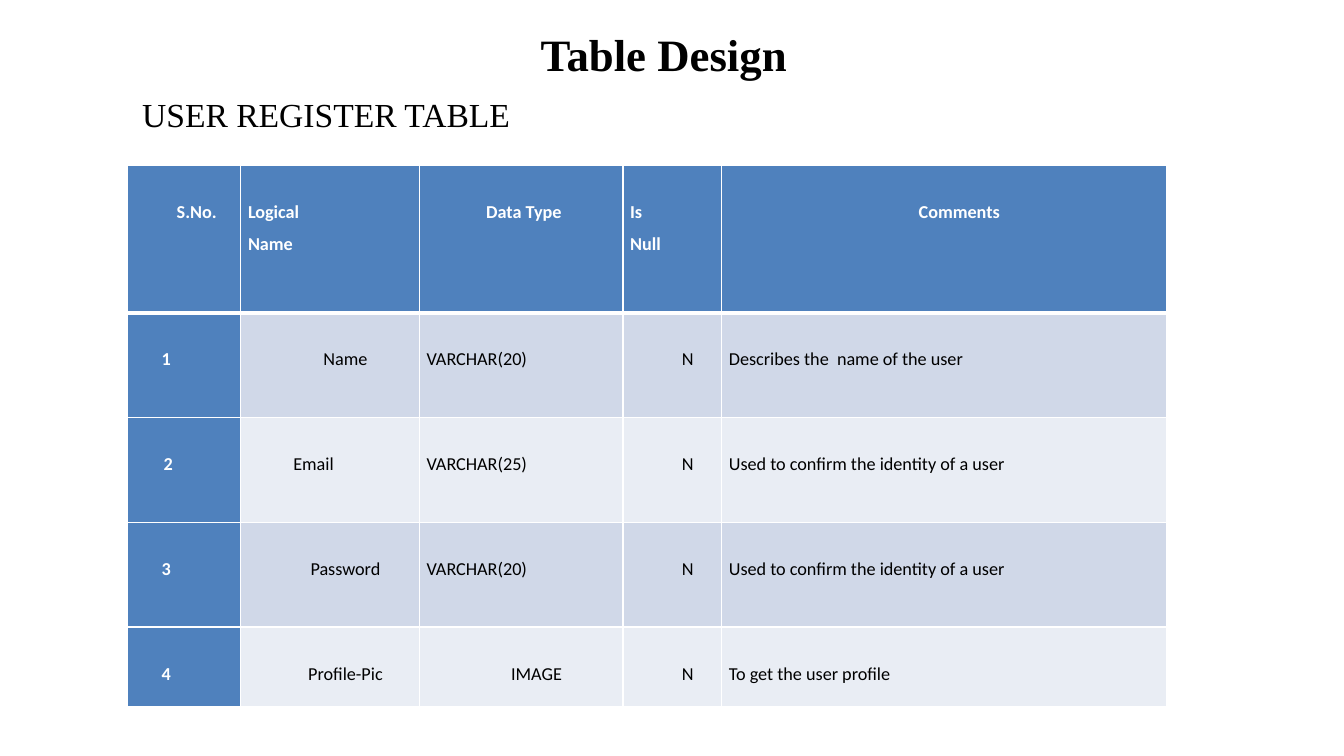
from dataclasses import dataclass

from lxml import etree
from pptx import Presentation
from pptx.dml.color import RGBColor
from pptx.enum.text import MSO_ANCHOR, MSO_AUTO_SIZE, PP_ALIGN
from pptx.oxml.ns import qn
from pptx.util import Cm, Pt

LEFT, CENTER, RIGHT = PP_ALIGN.LEFT, PP_ALIGN.CENTER, PP_ALIGN.RIGHT
MIDDLE, TOP = MSO_ANCHOR.MIDDLE, MSO_ANCHOR.TOP
NO_AUTOFIT = MSO_AUTO_SIZE.NONE

SERIF, SANS = "Times New Roman", "Calibri"
BLACK, WHITE, BLUE = "000000", "FFFFFF", "4F81BD"
BANDS = ("D0D8E8", "E9EDF4")

COLUMN_WIDTHS = (2.87, 4.5, 5.13, 2.49, 11.2)
ROW_HEIGHTS = (3.71, 2.64, 2.64, 2.64, 2.01)


@dataclass
class Entry:
    """Text of one cell, with its alignment and side margins in cm."""
    text: str
    align: PP_ALIGN = LEFT
    left: float = 0.18
    right: float = 0


def number(text: str, right: float = 0.89) -> Entry:
    return Entry(text, CENTER, 0, right)


def indented(text: str, right: float = 0.2) -> Entry:
    return Entry(text, CENTER, 0.97, right)


ROWS = (
    (Entry("S.No.", RIGHT, 0.97, 0.61), Entry("Logical\nName"),
     indented("Data Type", 0.84), Entry("Is\nNull"), indented("Comments")),
    (number("1"), indented("Name"), Entry("VARCHAR(20)"), indented("N"),
     Entry("Describes the  name of the user")),
    (number("2", 0.79), Entry("Email", CENTER, 0, 0.84), Entry("VARCHAR(25)"),
     indented("N"), Entry("Used to confirm the identity of a user")),
    (number("3"), indented("Password"), Entry("VARCHAR(20)"), indented("N"),
     Entry("Used to confirm the identity of a user")),
    (number("4"), indented("Profile-Pic"), indented("IMAGE"), indented("N"),
     Entry("To get the user profile")),
)


def color(value: str) -> RGBColor:
    return RGBColor.from_string(value)


def style(para, name: str, size: float, ink: str, bold: bool, align: PP_ALIGN) -> None:
    para.alignment = align
    para.font.name = name
    para.font.size = Pt(size)
    para.font.bold = bold
    para.font.color.rgb = color(ink)


def place(box, left: float, top: float, width: float, height: float) -> None:
    box.left, box.top, box.width, box.height = map(Cm, (left, top, width, height))


def add_border(cell, side: str, points: float) -> None:
    line = etree.SubElement(cell._tc.get_or_add_tcPr(), qn(f"a:ln{side}"), w=str(Pt(points)))
    fill = etree.SubElement(line, qn("a:solidFill"))
    etree.SubElement(fill, qn("a:srgbClr"), val=WHITE)


def fill_cell(cell, entry: Entry, row: int, column: int) -> None:
    heading = row == 0 or column == 0
    # Borders come before the fill in the cell properties
    for side in "LRTB":
        thick = (row == 0 and side == "B") or (row == 1 and side == "T")
        add_border(cell, side, 3 if thick else 1)
    cell.fill.solid()
    cell.fill.fore_color.rgb = color(BLUE if heading else BANDS[(row - 1) % 2])
    cell.margin_left, cell.margin_right = Cm(entry.left), Cm(entry.right)
    cell.margin_top, cell.margin_bottom = Cm(0.86), Cm(0)
    cell.vertical_anchor = TOP
    cell.text = entry.text
    for para in cell.text_frame.paragraphs:
        style(para, SANS, 13, WHITE if heading else BLACK, heading, entry.align)
        para.line_spacing = 1.07
        para.space_after = Pt(5.8)


def add_title(page) -> None:
    title = page.shapes.title
    place(title, 2.57, 0, 28.32, 2.69)
    title.text_frame.text = "Table Design"
    title.text_frame.vertical_anchor = MIDDLE
    style(title.text_frame.paragraphs[0], SERIF, 32, BLACK, True, CENTER)


def add_subtitle(page) -> None:
    subtitle = page.placeholders[1]
    place(subtitle, 0.46, 2.16, 32.79, 16.18)
    frame = subtitle.text_frame
    frame.text = "USER REGISTER TABLE"
    frame.auto_size = NO_AUTOFIT
    frame.vertical_anchor = TOP
    frame.margin_left, frame.margin_top = Cm(3.12), Cm(0.2)
    para = frame.paragraphs[0]
    style(para, SERIF, 24, BLACK, False, LEFT)
    para.space_before = Pt(0)


def add_register_table(page) -> None:
    frame = page.shapes.add_table(
        len(ROW_HEIGHTS), len(COLUMN_WIDTHS), Cm(3.2), Cm(4.17),
        Cm(sum(COLUMN_WIDTHS)), Cm(sum(ROW_HEIGHTS)))
    table = frame.table
    table.first_col = True
    for column, width in zip(table.columns, COLUMN_WIDTHS):
        column.width = Cm(width)
    for row, height in zip(table.rows, ROW_HEIGHTS):
        row.height = Cm(height)
    for row, entries in enumerate(ROWS):
        for column, entry in enumerate(entries):
            fill_cell(table.cell(row, column), entry, row, column)


def main() -> None:
    deck = Presentation()
    deck.slide_width, deck.slide_height = Cm(33.87), Cm(19.05)
    page = deck.slides.add_slide(deck.slide_layouts[0])
    add_title(page)
    add_subtitle(page)
    add_register_table(page)
    deck.save("out.pptx")


if __name__ == "__main__":
    main()
